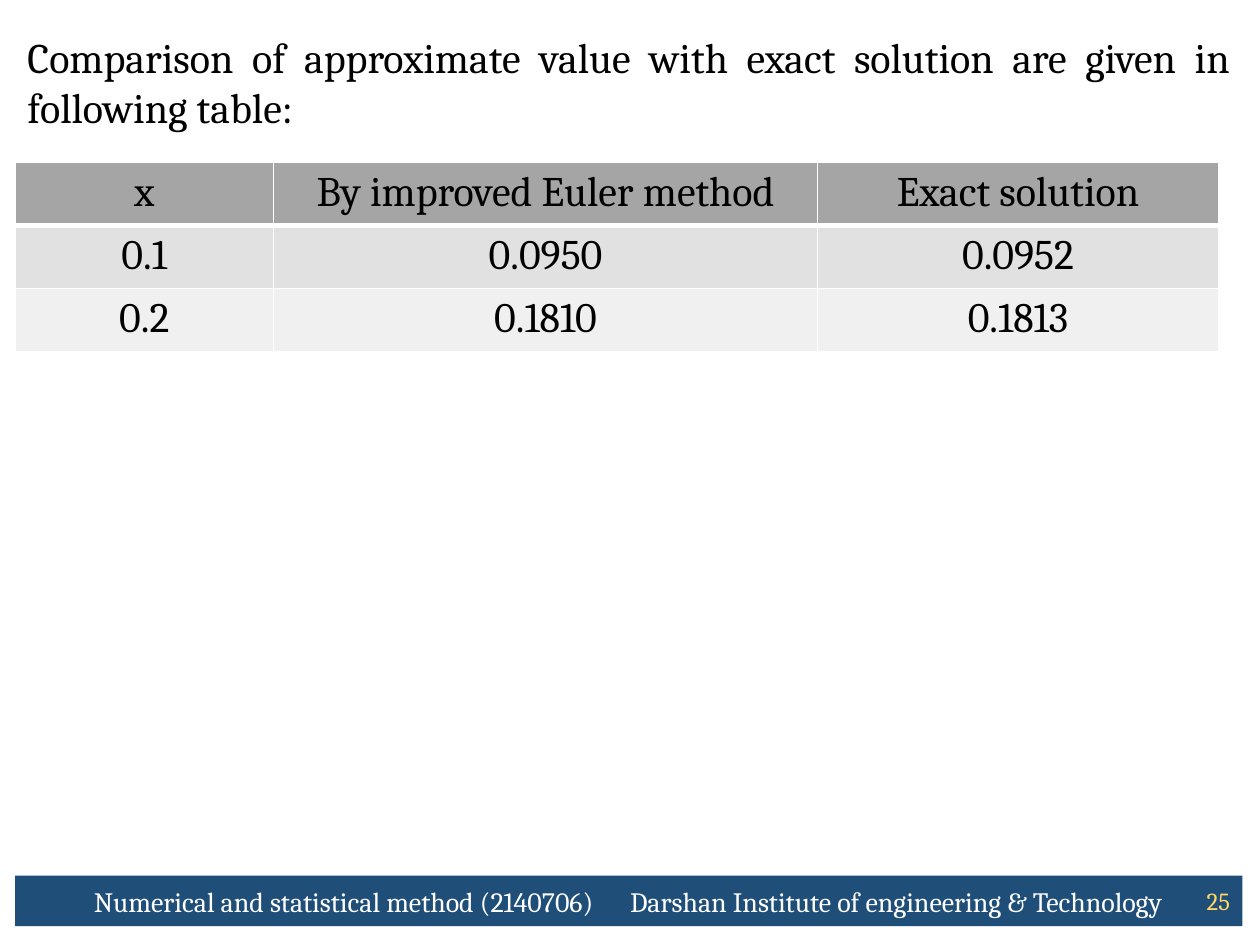
"""Builds a slide comparing improved Euler values with the exact solution."""
from dataclasses import dataclass

import lxml.etree
import pptx
import pptx.dml.color
import pptx.enum.shapes
import pptx.enum.text
import pptx.oxml.ns
import pptx.util

Pt = pptx.util.Pt
Align = pptx.enum.text.PP_ALIGN
Anchor = pptx.enum.text.MSO_ANCHOR


@dataclass(frozen=True)
class Theme:
    """Colours, font and type sizes of the slide."""
    font: str = "Cambria"
    body_size: int = 24
    footer_size: int = 16
    number_size: int = 14
    ink: str = "000000"
    white: str = "FFFFFF"
    navy: str = "1F4E79"
    gold: str = "FFD966"
    header: str = "A5A5A5"
    bands: tuple = ("E1E1E1", "F0F0F0")


def colour(value):
    """Return an RGB colour from a hex string."""
    return pptx.dml.color.RGBColor.from_string(value)


def assign(target, values):
    """Set every attribute named in a dict of format values."""
    for name, value in values.items():
        setattr(target, name, value)


class SlideBuilder:
    """Holds the theme and the current page and draws its elements."""

    def __init__(self, page, theme):
        self.page = page
        self.theme = theme

    def fill_text(self, frame, text, size, ink, align, frame_format=None):
        """Fill a text frame with one formatted paragraph."""
        assign(frame, {"word_wrap": True, **(frame_format or {})})
        para = frame.paragraphs[0]
        para.alignment = align
        span = para.add_run()
        span.text = text
        assign(span.font, {"name": self.theme.font, "size": Pt(size),
                           "bold": False})
        span.font.color.rgb = colour(ink)
        return para

    def text(self, place, text, size, ink, align, anchor):
        """Add a text box."""
        box = self.page.shapes.add_textbox(*map(Pt, place))
        return self.fill_text(box.text_frame, text, size, ink, align,
                              {"vertical_anchor": anchor})

    def footer(self, place, text, inset, tab):
        """Add the footer bar with its text set on a tab stop."""
        bar = self.page.shapes.add_shape(
            pptx.enum.shapes.MSO_SHAPE.RECTANGLE, *map(Pt, place))
        bar.shadow.inherit = False
        bar.fill.solid()
        bar.fill.fore_color.rgb = colour(self.theme.navy)
        bar.line.fill.background()
        qn = pptx.oxml.ns.qn
        properties = bar.text_frame.paragraphs[0]._p.get_or_add_pPr()
        stops = lxml.etree.SubElement(properties, qn("a:tabLst"))
        lxml.etree.SubElement(stops, qn("a:tab"), pos=str(Pt(tab)), algn="l")
        self.fill_text(bar.text_frame, text, self.theme.footer_size,
                       self.theme.white, Align.LEFT,
                       {"vertical_anchor": Anchor.MIDDLE,
                        "margin_left": Pt(inset)})

    def border(self, cell, widths):
        """Draw white borders on a cell, given widths by side."""
        qn = pptx.oxml.ns.qn
        properties = cell._tc.get_or_add_tcPr()
        for position, (side, width) in enumerate(widths.items()):
            line = lxml.etree.Element(qn(f"a:ln{side}"), w=str(Pt(width)))
            fill = lxml.etree.SubElement(line, qn("a:solidFill"))
            lxml.etree.SubElement(fill, qn("a:srgbClr"), val=self.theme.white)
            properties.insert(position, line)

    def table(self, left, top, widths, row_height, rows):
        """Add a table with a header row and banded body rows."""
        frame = self.page.shapes.add_table(
            len(rows), len(widths), Pt(left), Pt(top),
            Pt(sum(widths)), Pt(row_height * len(rows)))
        grid = frame.table
        for column, width in zip(grid.columns, widths):
            column.width = Pt(width)
        fills = (self.theme.header, *self.theme.bands)
        for index, (row, values) in enumerate(zip(grid.rows, rows)):
            row.height = Pt(row_height)
            edges = {"L": 1, "R": 1, "T": 3 if index == 1 else 1,
                     "B": 3 if index == 0 else 1}
            for cell, value in zip(row.cells, values):
                cell.fill.solid()
                cell.fill.fore_color.rgb = colour(fills[index])
                self.border(cell, edges)
                self.fill_text(cell.text_frame, value, self.theme.body_size,
                               self.theme.ink, Align.CENTER)


def main():
    """Build and save the deck."""
    deck = pptx.Presentation()
    assign(deck, {"slide_width": Pt(720), "slide_height": Pt(540)})
    theme = Theme()
    builder = SlideBuilder(deck.slides.add_slide(deck.slide_layouts[6]), theme)
    left, width, footer_top, footer_height = 8.64, 701.28, 500.4, 28.8
    number_width = 41.04
    builder.footer((left, footer_top, width, footer_height),
                   "Numerical and statistical method (2140706)\t"
                   "Darshan Institute of engineering & Technology", 45, 306.4)
    builder.text((left + width - number_width, footer_top, number_width,
                  footer_height), "25", theme.number_size, theme.gold,
                 Align.RIGHT, Anchor.MIDDLE)
    builder.text((left, 14.4, width, 471.6),
                 "Comparison of approximate value with exact solution are "
                 "given in following table:", theme.body_size, theme.ink,
                 Align.JUSTIFY, Anchor.TOP)
    builder.table(left, 92.88, (147.6, 311.04, 228.96), 29.52, (
        ("x", "By improved Euler method", "Exact solution"),
        ("0.1", "0.0950", "0.0952"),
        ("0.2", "0.1810", "0.1813")))
    deck.save("out.pptx")


if __name__ == "__main__":
    main()
